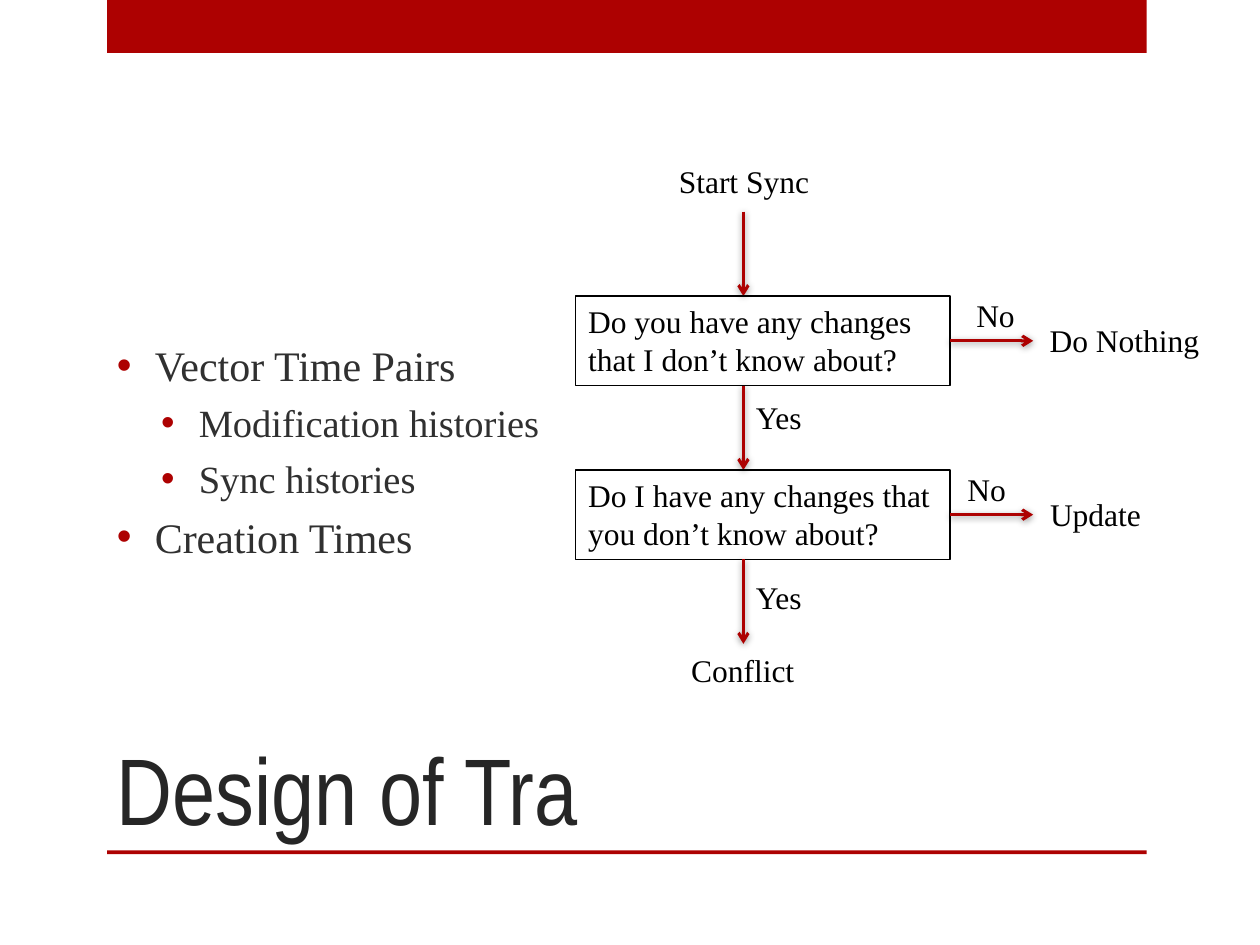
from lxml import etree
from pptx import Presentation
from pptx.dml.color import RGBColor
from pptx.enum.shapes import MSO_CONNECTOR, MSO_SHAPE
from pptx.enum.text import MSO_ANCHOR, PP_ALIGN
from pptx.oxml.ns import qn
from pptx.util import Inches, Pt

RECTANGLE = MSO_SHAPE.RECTANGLE
STRAIGHT = MSO_CONNECTOR.STRAIGHT
TOP, MIDDLE, BOTTOM = MSO_ANCHOR.TOP, MSO_ANCHOR.MIDDLE, MSO_ANCHOR.BOTTOM
LEFT, CENTER = PP_ALIGN.LEFT, PP_ALIGN.CENTER
RIGHT_SIDE = 3

RED, BLACK, TITLE_GREY, BODY_GREY = "AD0101", "000000", "262626", "303030"
SERIF, NARROW = "Times New Roman", "Arial Narrow"

LABEL_HEIGHT = 0.4
STEP_HEIGHT = 0.71
ARROW_LENGTH = 0.67


def color(value):
    """Turn a hex string into a colour."""
    return RGBColor.from_string(value)


def add_span(para, text, size, font=SERIF, ink=BLACK):
    """Append one formatted run to a paragraph."""
    span = para.add_run()
    span.text = text
    span.font.size = Pt(size)
    span.font.name = font
    span.font.color.rgb = color(ink)


def add_text_box(page, left, top, width, height, anchor=TOP):
    """Add a wrapping text box and return its text frame."""
    box = page.shapes.add_textbox(Inches(left), Inches(top), Inches(width), Inches(height))
    frame = box.text_frame
    frame.word_wrap = True
    frame.vertical_anchor = anchor
    return frame


def add_rectangle(page, left, top, width, height):
    """Add a rectangle without a shadow."""
    box = page.shapes.add_shape(
        RECTANGLE, Inches(left), Inches(top), Inches(width), Inches(height))
    box.shadow.inherit = False
    return box


def add_frame_bars(page, left, width):
    """Draw the top band and the rule under the title."""
    for top, height in ((0, 0.42), (6.75, 0.03)):
        bar = add_rectangle(page, left, top, width, height)
        bar.fill.solid()
        bar.fill.fore_color.rgb = color(RED)
        bar.line.fill.background()


def add_title(page, left, top, width, height):
    """Place the slide title at the bottom of its box."""
    frame = add_text_box(page, left, top, width, height, BOTTOM)
    add_span(frame.paragraphs[0], "Design of Tra", 54, NARROW, TITLE_GREY)


def add_bullet(para, indent):
    """Give a paragraph a hanging red bullet."""
    properties = para._p.get_or_add_pPr()
    properties.set("marL", str(Inches(indent)))
    properties.set("indent", str(Inches(-0.3)))
    bullet_color = etree.SubElement(properties, qn("a:buClr"))
    etree.SubElement(bullet_color, qn("a:srgbClr"), val=RED)
    etree.SubElement(properties, qn("a:buFont"), typeface="Arial")
    etree.SubElement(properties, qn("a:buChar"), char="•")


def add_topics(page, left, top, width, height):
    """Place the two-level bullet list."""
    topics = (("Vector Time Pairs", 0), ("Modification histories", 1),
              ("Sync histories", 1), ("Creation Times", 0))
    frame = add_text_box(page, left, top, width, height, MIDDLE)
    for index, (text, level) in enumerate(topics):
        para = frame.add_paragraph() if index else frame.paragraphs[0]
        para.level = level
        add_bullet(para, 0.3 + 0.35 * level)
        if index:
            para.space_before = Pt(5.5)
        add_span(para, text, 24 - 2 * level, ink=BODY_GREY)


def add_label(page, text, left, top, width, align=LEFT):
    """Place a one-line flowchart label."""
    para = add_text_box(page, left, top, width, LABEL_HEIGHT).paragraphs[0]
    para.alignment = align
    add_span(para, text, 18)


def add_step(page, text, left, top, width):
    """Place an outlined question box."""
    step = add_rectangle(page, left, top, width, STEP_HEIGHT)
    step.fill.background()
    step.line.color.rgb = color(BLACK)
    step.line.width = Pt(0.75)
    frame = step.text_frame
    frame.word_wrap = True
    frame.vertical_anchor = TOP
    para = frame.paragraphs[0]
    para.alignment = LEFT
    add_span(para, text, 18)
    return step


def add_arrow(page, start_x, start_y, end_x, end_y):
    """Draw a red arrow with a soft shadow."""
    arrow = page.shapes.add_connector(
        STRAIGHT, Inches(start_x), Inches(start_y), Inches(end_x), Inches(end_y))
    arrow.line.color.rgb = color(RED)
    arrow.line.width = Pt(1.75)
    etree.SubElement(arrow.line._get_or_add_ln(), qn("a:tailEnd"), type="arrow")
    effects = etree.SubElement(arrow._element.spPr, qn("a:effectLst"))
    shadow = etree.SubElement(
        effects, qn("a:outerShdw"), blurRad=str(Pt(4)), dist=str(Pt(1)),
        dir="5280000", rotWithShape="0")
    tint = etree.SubElement(shadow, qn("a:srgbClr"), val=BLACK)
    etree.SubElement(tint, qn("a:alpha"), val="40000")
    return arrow


def add_flowchart(page, left, top, width):
    """Lay out the sync decision chart downward from its start label."""
    stem = left + 1.33
    first_step = top + 1.11
    pitch = STEP_HEIGHT + ARROW_LENGTH
    questions = (
        ("Do you have any changes that I don’t know about?", "Do Nothing", 3.49, 3.08, 0.05),
        ("Do I have any changes that you don’t know about?", "Update", 3.26, 3.01, 0.1),
    )
    add_label(page, "Start Sync", left + 0.47, top, 1.73, CENTER)
    add_arrow(page, stem, first_step - ARROW_LENGTH, stem, first_step)
    for index, (question, outcome, outcome_x, no_x, yes_gap) in enumerate(questions):
        step_top = first_step + index * pitch
        step_bottom = step_top + STEP_HEIGHT
        middle = step_top + STEP_HEIGHT / 2
        step = add_step(page, question, left, step_top, width)
        add_arrow(page, stem, step_bottom, stem, step_bottom + ARROW_LENGTH)
        branch = add_arrow(page, left + width, middle, left + 3.63, middle)
        branch.begin_connect(step, RIGHT_SIDE)
        add_label(page, "Yes", stem, step_bottom + yes_gap, 0.9)
        add_label(page, "No", left + no_x, step_top - 0.05, 0.9)
        add_label(page, outcome, left + outcome_x, step_top + 0.15, 1.73, CENTER)
    add_label(page, "Conflict", left + 0.46, first_step + 2 * pitch + 0.01, 1.73, CENTER)


def main():
    """Build and save the slide."""
    deck = Presentation()
    deck.slide_width, deck.slide_height = Inches(10), Inches(7.5)
    page = deck.slides.add_slide(deck.slide_layouts[6])
    add_frame_bars(page, 0.85, 8.25)
    add_title(page, 0.83, 5, 7.42, 1.75)
    add_topics(page, 0.83, 1.45, 8.25, 4.25)
    add_flowchart(page, 4.57, 1.24, 2.97)
    deck.save("out.pptx")


if __name__ == "__main__":
    main()
